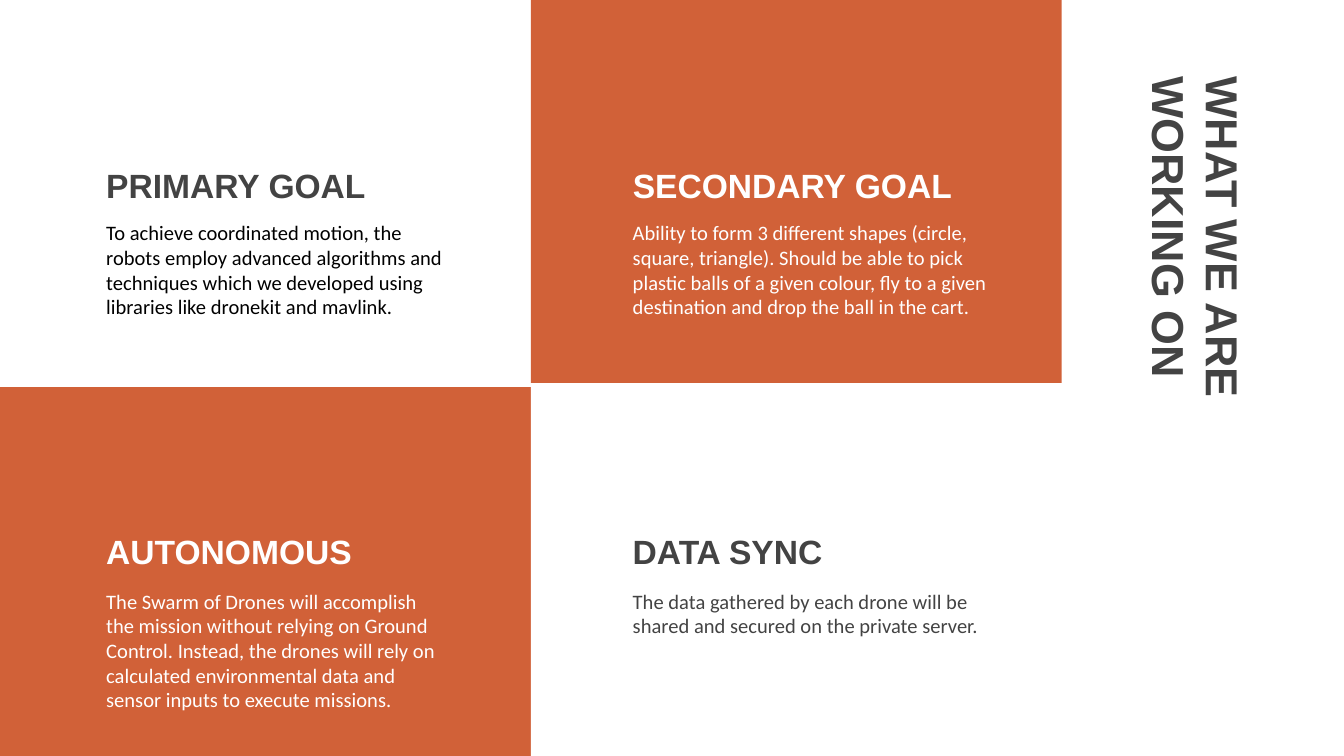
import pptx
import pptx.util
import pptx.dml.color
import pptx.enum.shapes
import pptx.enum.text

Pt = pptx.util.Pt
RGBColor = pptx.dml.color.RGBColor
Anchor = pptx.enum.text.MSO_ANCHOR

ORANGE = RGBColor(0xD1, 0x61, 0x38)
WHITE = RGBColor(0xFF, 0xFF, 0xFF)
BLACK = RGBColor(0x00, 0x00, 0x00)
GRAY = RGBColor(0x43, 0x43, 0x43)

COLUMN = 284.4
TOP_ROW = (-2.2, 207.4)
BOTTOM_ROW = (207.4, 198)


def add_text(page, box, text, font, size, color, bold=False, anchor=Anchor.TOP):
    shape = page.shapes.add_textbox(*map(Pt, box))
    frame = shape.text_frame
    frame.word_wrap = True
    frame.vertical_anchor = anchor
    frame.margin_left = frame.margin_right = Pt(7.2)
    frame.margin_top = frame.margin_bottom = Pt(7.2)
    para = frame.paragraphs[0]
    para.text = text
    para.font.name = font
    para.font.size = Pt(size)
    para.font.bold = bold
    para.font.color.rgb = color
    return shape


def add_goal(page, box, fill, indent, heading, heading_box, heading_color,
             body, body_box, body_color):
    left, top, width, height = box
    if fill is not None:
        panel = page.shapes.add_shape(
            pptx.enum.shapes.MSO_SHAPE.RECTANGLE, *map(Pt, box))
        panel.shadow.inherit = False
        panel.fill.solid()
        panel.fill.fore_color.rgb = fill
        panel.line.fill.background()
    for text, (drop, wide, tall), style in (
        (body, body_box, ("Calibri", 11, body_color)),
        (heading, heading_box, ("Arial", 18, heading_color, True, Anchor.BOTTOM)),
    ):
        add_text(page, (left + indent, top + drop, wide, tall), text, *style)


def add_side_title(page, box, text):
    left, top, width, height = box
    turned = (left + (width - height) / 2, top + (height - width) / 2, height, width)
    title = add_text(page, turned, text, "Arial", 24, GRAY, True, Anchor.MIDDLE)
    title.rotation = 90


def main():
    deck = pptx.Presentation()
    deck.slide_width = Pt(720)
    deck.slide_height = Pt(405)
    page = deck.slides.add_slide(deck.slide_layouts[6])

    add_side_title(page, (622.1, 33.9, 38.2, 229.7), "WHAT WE ARE WORKING ON")

    (upper, upper_height), (lower, lower_height) = TOP_ROW, BOTTOM_ROW
    add_goal(
        page, (0, upper, COLUMN, upper_height), None, 49.8,
        "PRIMARY GOAL", (68.4, 226, 51), GRAY,
        "To achieve coordinated motion, the robots employ advanced algorithms "
        "and techniques which we developed using libraries like dronekit and mavlink.",
        (113.1, 195, 42.5), BLACK)
    add_goal(
        page, (COLUMN, upper, COLUMN, upper_height), ORANGE, 47.5,
        "SECONDARY GOAL", (68.4, 212.4, 51), WHITE,
        "Ability to form 3 different shapes (circle, square, triangle). Should be "
        "able to pick plastic balls of a given colour, fly to a given destination "
        "and drop the ball in the cart.",
        (113.1, 203.8, 59), WHITE)
    add_goal(
        page, (0, lower, COLUMN, lower_height), ORANGE, 49.8,
        "AUTONOMOUS", (54.7, 226, 51), WHITE,
        "The Swarm of Drones will accomplish the mission without relying on Ground "
        "Control. Instead, the drones will rely on calculated environmental data "
        "and sensor inputs to execute missions.",
        (100.8, 195, 74.2), WHITE)
    add_goal(
        page, (COLUMN, lower, COLUMN, lower_height), WHITE, 47.5,
        "DATA SYNC", (54.7, 203.8, 51), GRAY,
        "The data gathered by each drone will be shared and secured on the "
        "private server.",
        (100.8, 203.8, 59), GRAY)

    deck.save("out.pptx")


if __name__ == "__main__":
    main()
